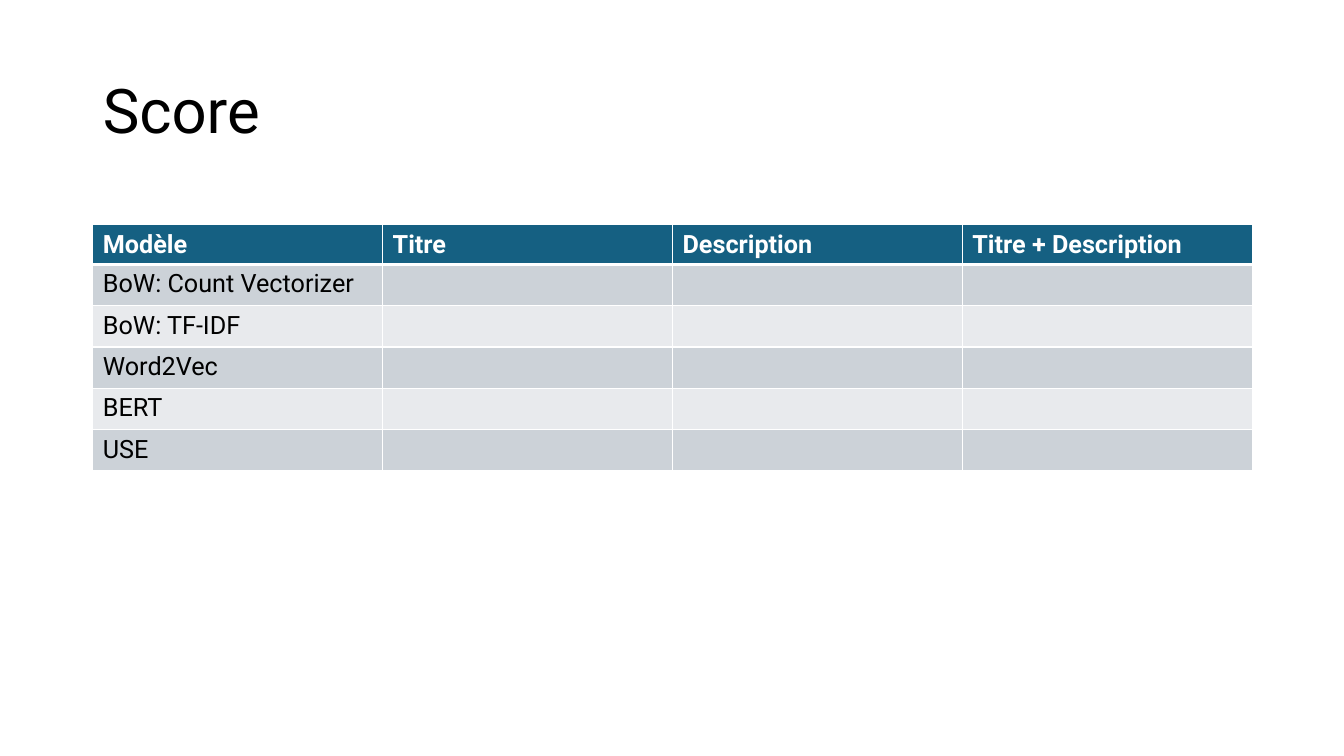
from dataclasses import dataclass
from lxml.etree import SubElement as Sub
from pptx import Presentation
from pptx.dml.color import RGBColor as RGB
from pptx.enum.text import MSO_ANCHOR as Anchor, PP_ALIGN as Align
from pptx.oxml.ns import qn
from pptx.util import Inches, Pt

TITLE = "Score"
HEADS = ["Modèle", "Titre", "Description", "Titre + Description"]
MODELS = ["BoW: Count Vectorizer", "BoW: TF-IDF", "Word2Vec", "BERT", "USE"]


@dataclass(frozen=True)
class Theme:
    font: str = "Roboto"
    black: str = "000000"
    white: str = "FFFFFF"
    head: str = "156082"
    bands: tuple = ("CCD2D8", "E8EAED")
    title: int = 44
    body: int = 18
    thin: int = 1
    thick: int = 3


LOOK = Theme()
LEFT, WIDTH = 0.92, 11.5
TOP, HEAD_H, ROW_H = 2.23, 0.39, 0.41


def write(para, text, size, color, bold=False):
    run = para.add_run()
    run.text = text
    font = run.font
    font.name, font.size, font.bold = LOOK.font, Pt(size), bold
    font.color.rgb = RGB.from_string(color)


def edge(cell, side, width):
    line = Sub(cell._tc.get_or_add_tcPr(), qn("a:ln" + side), w=str(Pt(width)))
    fill = Sub(line, qn("a:solidFill"))
    Sub(fill, qn("a:srgbClr"), val=LOOK.white)


def paint(cell, color, top, bottom):
    for side, width in zip("LRTB", (LOOK.thin, LOOK.thin, top, bottom)):
        edge(cell, side, width)
    cell.fill.solid()
    cell.fill.fore_color.rgb = RGB.from_string(color)


def add_title(slide):
    box = slide.shapes.title
    box.left, box.top = Inches(LEFT), Inches(0.4)
    box.width, box.height = Inches(WIDTH), Inches(1.45)
    frame = box.text_frame
    frame.vertical_anchor = Anchor.MIDDLE
    para = frame.paragraphs[0]
    para.alignment, para.line_spacing = Align.LEFT, 0.9
    write(para, TITLE, LOOK.title, LOOK.black)


def add_scores(slide):
    rows = [HEADS] + [[name] + [""] * (len(HEADS) - 1) for name in MODELS]
    high = HEAD_H + ROW_H * len(MODELS)
    grid = slide.shapes.add_table(
        len(rows), len(HEADS),
        Inches(LEFT), Inches(TOP), Inches(WIDTH), Inches(high)).table
    for r, row in enumerate(rows):
        head = r == 0
        grid.rows[r].height = Inches(HEAD_H if head else ROW_H)
        fill = LOOK.head if head else LOOK.bands[(r - 1) % 2]
        ink = LOOK.white if head else LOOK.black
        top = LOOK.thick if r == 1 else LOOK.thin
        bottom = LOOK.thick if head else LOOK.thin
        for c, text in enumerate(row):
            cell = grid.cell(r, c)
            paint(cell, fill, top, bottom)
            if text:
                para = cell.text_frame.paragraphs[0]
                write(para, text, LOOK.body, ink, head)


def main():
    deck = Presentation()
    deck.slide_width, deck.slide_height = Inches(13.33), Inches(7.5)
    slide = deck.slides.add_slide(deck.slide_layouts[5])
    add_title(slide)
    add_scores(slide)
    deck.save("out.pptx")


if __name__ == "__main__":
    main()
